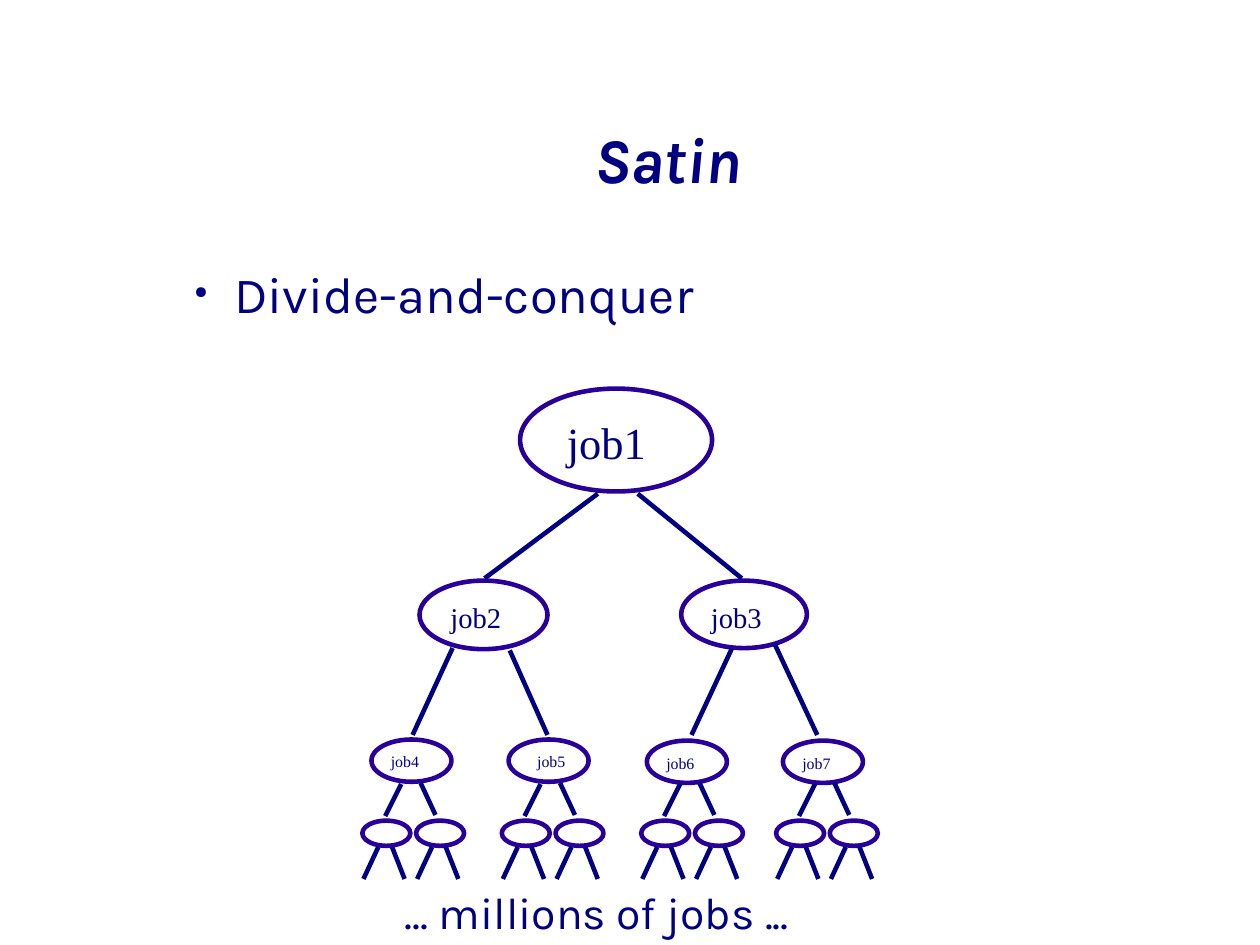
from lxml import etree
from pptx import Presentation
from pptx import util as u
from pptx.dml.color import RGBColor
from pptx.enum import shapes, text
from pptx.oxml import ns

COLORS = {"navy": "000080", "violet": "280099", "white": "FFFFFF"}
SANS, SERIF = "Karla", "Times New Roman"
LINE_WIDTH = u.Pt(2.89)
CM_PER_INCH = 2.54


class SlideBuilder:
    """Holds the style and the current slide."""

    def __init__(self, slide):
        """Keep the slide to draw on."""
        self.slide = slide

    def color(self, name):
        """Return the named colour."""
        return RGBColor.from_string(COLORS[name])

    def text(self, box, wording, size, font=SANS, bold=False, italic=False,
             align=text.PP_ALIGN.LEFT, anchor=text.MSO_ANCHOR.TOP, wrap=True):
        """Add a text box without margins and return its paragraph."""
        shape = self.slide.shapes.add_textbox(*map(u.Inches, box))
        frame = shape.text_frame
        frame.word_wrap = wrap
        frame.vertical_anchor = anchor
        frame.margin_left = frame.margin_right = 0
        frame.margin_top = frame.margin_bottom = 0
        paragraph = frame.paragraphs[0]
        paragraph.alignment = align
        run = paragraph.add_run()
        run.text = wording
        run.font.name = font
        run.font.size = u.Pt(size)
        run.font.bold = bold
        run.font.italic = italic
        run.font.color.rgb = self.color("navy")
        return paragraph

    def bullet(self, box, wording, size):
        """Add a text box with one bulleted paragraph."""
        paragraph = self.text(box, wording, size)
        paragraph.space_after = u.Pt(14.2)
        properties = paragraph._p.get_or_add_pPr()
        properties.set("marL", str(u.Inches(0.47)))
        properties.set("indent", str(u.Inches(-0.35)))
        bullet_color = etree.SubElement(properties, ns.qn("a:buClr"))
        etree.SubElement(bullet_color, ns.qn("a:srgbClr")).set(
            "val", COLORS["navy"])
        etree.SubElement(properties, ns.qn("a:buSzPct")).set("val", "33000")
        etree.SubElement(properties, ns.qn("a:buChar")).set("char", "●")

    def ellipse(self, left, top, width, height):
        """Add an outlined ellipse for a job."""
        shape = self.slide.shapes.add_shape(
            shapes.MSO_SHAPE.OVAL, *map(u.Inches, (left, top, width, height)))
        shape.shadow.inherit = False
        shape.fill.solid()
        shape.fill.fore_color.rgb = self.color("white")
        shape.line.color.rgb = self.color("violet")
        shape.line.width = LINE_WIDTH

    def line(self, *ends):
        """Add a straight branch from x, y to x, y."""
        connector = self.slide.shapes.add_connector(
            shapes.MSO_CONNECTOR.STRAIGHT, *map(u.Inches, ends))
        connector.line.color.rgb = self.color("navy")
        connector.line.width = LINE_WIDTH
        etree.SubElement(connector._element.spPr, ns.qn("a:effectLst"))


# Ellipse box, label box and label size of each named job
JOBS = [
    ((4.55, 3.4, 1.68, 0.9), (4.96, 3.63, 0.69, 0.43), 28),
    ((3.67, 5.08, 1.12, 0.6), (3.94, 5.25, 0.71, 0.3), 18),
    ((5.96, 5.08, 1.1, 0.59), (6.22, 5.25, 0.71, 0.3), 18),
    ((3.25, 6.47, 0.7, 0.37), (3.42, 6.58, 0.44, 0.19), 10),
    ((4.45, 6.47, 0.7, 0.37), (4.7, 6.58, 0.53, 0.22), 10),
    ((5.66, 6.48, 0.7, 0.37), (5.83, 6.59, 0.44, 0.19), 10),
    ((6.85, 6.48, 0.7, 0.37), (7.02, 6.59, 0.44, 0.19), 10),
]
BRANCHES = [
    (5.23, 4.32, 4.24, 5.06), (5.58, 4.32, 6.49, 5.06),
    (3.96, 5.67, 3.61, 6.43), (4.46, 5.69, 4.79, 6.43),
    (6.4, 5.68, 6.05, 6.43), (6.78, 5.64, 7.15, 6.43),
]
SUBTREE_LEFTS = [3.17, 4.39, 5.61, 6.79]
LEAF_STEP = 0.47


def draw_subtree(builder, left):
    """Draw two small jobs with the branches above and below them."""
    for leaf in (left, left + LEAF_STEP):
        builder.ellipse(leaf, 7.18, 0.42, 0.22)
        builder.line(leaf + 0.14, 7.41, leaf + 0.01, 7.69)
        builder.line(leaf + 0.26, 7.41, leaf + 0.37, 7.69)
    builder.line(left + 0.34, 6.86, left + 0.2, 7.14)
    builder.line(left + 0.51, 6.85, left + 0.64, 7.13)


def main():
    """Build and save the slide."""
    presentation = Presentation()
    presentation.slide_width = u.Inches(28 / CM_PER_INCH)
    presentation.slide_height = u.Inches(21 / CM_PER_INCH)
    slide = presentation.slides.add_slide(presentation.slide_layouts[6])
    builder = SlideBuilder(slide)

    builder.text((1.46, 0.69, 8.76, 1.38), "Satin", 40, bold=True, italic=True,
                 align=text.PP_ALIGN.CENTER, anchor=text.MSO_ANCHOR.MIDDLE)
    builder.bullet((1.58, 2.3, 8.64, 5.67), "Divide-and-conquer", 32)
    for number, (ellipse_box, label_box, size) in enumerate(JOBS, start=1):
        builder.ellipse(*ellipse_box)
        builder.text(label_box, f"job{number}", size, font=SERIF, wrap=False)
    for branch in BRANCHES:
        builder.line(*branch)
    for left in SUBTREE_LEFTS:
        draw_subtree(builder, left)
    builder.text((3.54, 7.74, 3.91, 0.45), "... millions of jobs ...", 28)

    presentation.save("out.pptx")


main()
